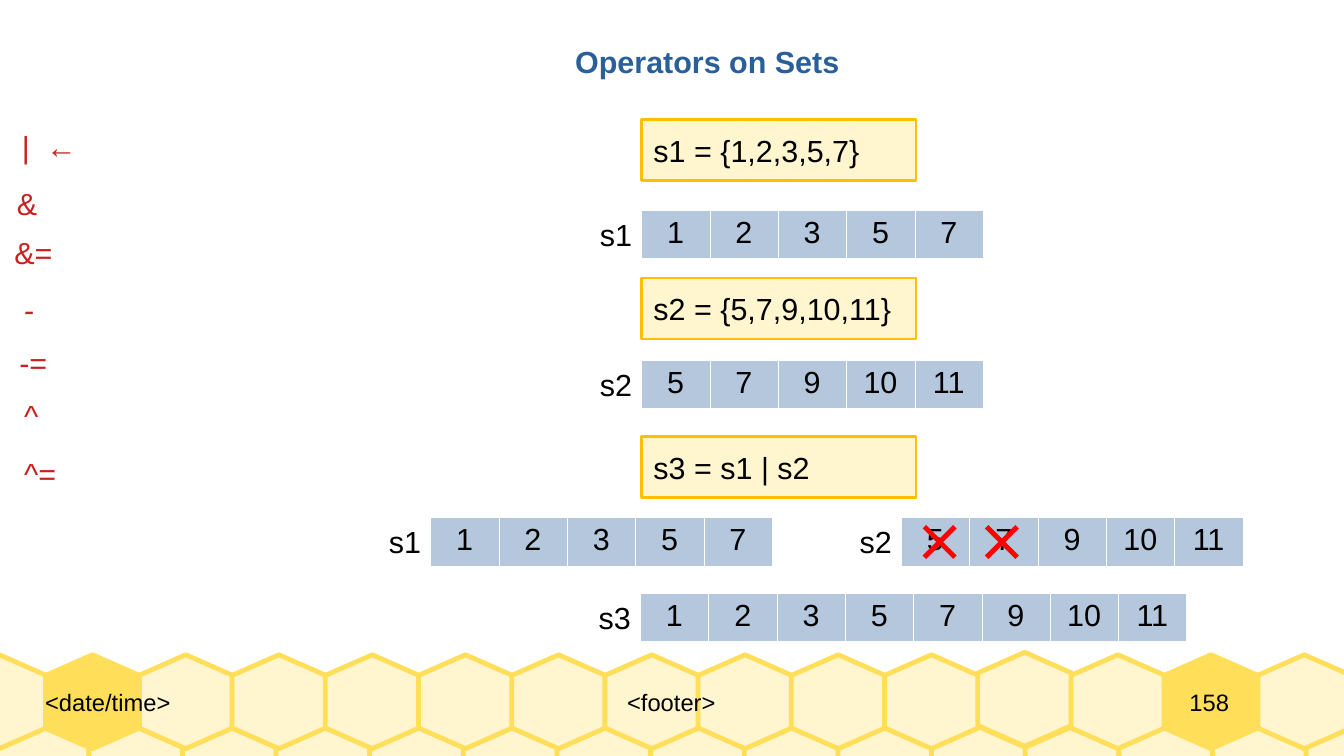
from lxml import etree
from pptx import Presentation
from pptx.dml.color import RGBColor
from pptx.enum.shapes import MSO_CONNECTOR, MSO_SHAPE
from pptx.enum.text import MSO_ANCHOR, MSO_AUTO_SIZE, PP_ALIGN
from pptx.oxml import parse_xml
from pptx.oxml.ns import nsdecls, qn
from pptx.util import Inches, Pt

LEFT, CENTER = PP_ALIGN.LEFT, PP_ALIGN.CENTER
TOP, MIDDLE = MSO_ANCHOR.TOP, MSO_ANCHOR.MIDDLE
STRAIGHT, RECT, NO_FIT = MSO_CONNECTOR.STRAIGHT, MSO_SHAPE.RECTANGLE, MSO_AUTO_SIZE.NONE

BLACK = RGBColor(0x00, 0x00, 0x00)
BLUE = RGBColor(0x2A, 0x60, 0x99)
CRIMSON = RGBColor(0xC9, 0x21, 0x1E)
RED = RGBColor(0xFF, 0x00, 0x00)
CREAM = RGBColor(0xFF, 0xF5, 0xCE)
HONEY = RGBColor(0xFF, 0xDE, 0x59)
AMBER = RGBColor(0xFF, 0xBF, 0x00)
CELL_BLUE = RGBColor(0xB4, 0xC7, 0xDC)

COL, ROW = 0.56, 0.38
HEX = 0.77
S1, S2 = [1, 2, 3, 5, 7], [5, 7, 9, 10, 11]
S3 = S1 + [n for n in S2 if n not in S1]


def box(x, y, w, h):
    return [Inches(v) for v in (x, y, w, h)]


def write(tf, text, color=BLACK, size=18, bold=False, align=LEFT, anchor=TOP):
    tf.text = text
    tf.vertical_anchor = anchor
    p = tf.paragraphs[0]
    p.alignment = align
    for r in p.runs:
        r.font.name = "Arial"
        r.font.size = Pt(size)
        r.font.bold = bold
        r.font.color.rgb = color


def add_text(s, x, y, w, h, text, **style):
    tf = s.shapes.add_textbox(*box(x, y, w, h)).text_frame
    tf.word_wrap = True
    write(tf, text, **style)
    return tf


def add_footer(s, x, w, text, align):
    tf = add_text(s, x, 5.37, w, HEX, text, size=14, align=align, anchor=MIDDLE)
    tf.margin_left = tf.margin_right = tf.margin_top = tf.margin_bottom = 0


def add_hexagon(s, x, y, fill):
    low, high, mid, right = y + 0.17, y + 0.6, x + HEX / 2, x + HEX
    corners = [(x, low), (x, high), (mid, y + HEX), (right, high), (right, low)]
    fb = s.shapes.build_freeform(Inches(mid), Inches(y))
    fb.add_line_segments([(Inches(a), Inches(b)) for a, b in corners], close=True)
    sp = fb.convert_to_shape()
    sp.shadow.inherit = False
    sp.fill.solid()
    sp.fill.fore_color.rgb = fill
    sp.line.color.rgb = HONEY
    sp.line.width = Pt(2.83)


def add_honeycomb(s):
    pitch = 10.7 / 14
    for i in range(15):
        add_hexagon(s, -0.04 + i * 10.75 / 14, 5.96, CREAM)
    filled = (1, 13)
    for i in sorted(range(15), key=lambda n: n in filled):
        y = 5.35 if i == 11 else 5.37
        add_hexagon(s, -0.39 + i * pitch, y, HONEY if i in filled else CREAM)


def add_code(s, y, text):
    sp = s.shapes.add_shape(RECT, *box(5.26, y, 2.25, 0.5))
    sp.shadow.inherit = False
    sp.fill.solid()
    sp.fill.fore_color.rgb = CREAM
    sp.line.color.rgb = AMBER
    sp.line.width = Pt(1.42)
    write(sp.text_frame, text, anchor=MIDDLE)


def add_set(s, x, y, name, values):
    frame = s.shapes.add_table(1, len(values), *box(x, y, COL * len(values), ROW))
    for col, cell, value in zip(frame.table.columns, frame.table.rows[0].cells, values):
        col.width = Inches(COL)
        write(cell.text_frame, str(value), align=CENTER)
        tcPr = cell._tc.get_or_add_tcPr()
        for side in "LRTB":
            tcPr.append(parse_xml(
                f'<a:ln{side} {nsdecls("a")} w="762"><a:solidFill>'
                f'<a:srgbClr val="FFFFFF"/></a:solidFill></a:ln{side}>'))
        cell.fill.solid()
        cell.fill.fore_color.rgb = CELL_BLUE
    add_text(s, x - 0.44, y, 0.5, ROW, name)


def add_cross(s, x, y, size=0.25):
    for y1, y2 in ((y, y + size), (y + size, y)):
        ln = s.shapes.add_connector(STRAIGHT, *box(x, y1, x + size, y2))
        ln.line.color.rgb = RED
        ln.line.width = Pt(2.89)
        etree.SubElement(ln._element.spPr, qn("a:effectLst"))


def add_title(s, text):
    title = s.shapes.title
    title.left, title.top, title.width, title.height = box(4.4, 0.3, 2.8, ROW)
    tf = title.text_frame
    tf.auto_size = NO_FIT
    tf.word_wrap = True
    write(tf, text, color=BLUE, bold=True, align=CENTER)


def add_operators(s):
    tf = add_text(s, 0.08, 1, 0.72, ROW, "|\t←", color=CRIMSON)
    pPr = tf.paragraphs[0]._p.get_or_add_pPr()
    tabs = etree.SubElement(pPr, qn("a:tabLst"))
    etree.SubElement(tabs, qn("a:tab"), pos=str(Inches(0.2)), algn="l")
    for x, y, text in ((0.04, 1.47, "&"), (0.02, 1.87, "&="), (0.1, 2.34, "-"),
                       (0.06, 2.77, "-="), (0.1, 3.21, "^"), (0.1, 3.68, "^=")):
        add_text(s, x, y, 0.64, ROW, text, color=CRIMSON)


def main():
    prs = Presentation()
    prs.slide_width, prs.slide_height = Inches(11.02), Inches(6.2)
    s = prs.slides.add_slide(prs.slide_layouts[5])

    add_honeycomb(s)
    add_footer(s, 0.37, 2.63, "<date/time>", LEFT)
    add_footer(s, 3, 5.01, "<footer>", CENTER)
    add_footer(s, 9.29, 1.25, "158", CENTER)

    add_title(s, "Operators on Sets")
    add_operators(s)

    for i, code in enumerate(("s1 = {1,2,3,5,7}", "s2 = {5,7,9,10,11}", "s3 = s1 | s2")):
        add_code(s, 0.98 + i * 1.3, code)
    for x, y, name, values in ((5.26, 1.72, "s1", S1), (5.26, 2.95, "s2", S2),
                               (3.53, 4.24, "s1", S1), (7.39, 4.24, "s2", S2),
                               (5.25, 4.86, "s3", S3)):
        add_set(s, x, y, name, values)
    for x in (7.58, 8.09):
        add_cross(s, x, 4.32)

    prs.save("out.pptx")


if __name__ == "__main__":
    main()
